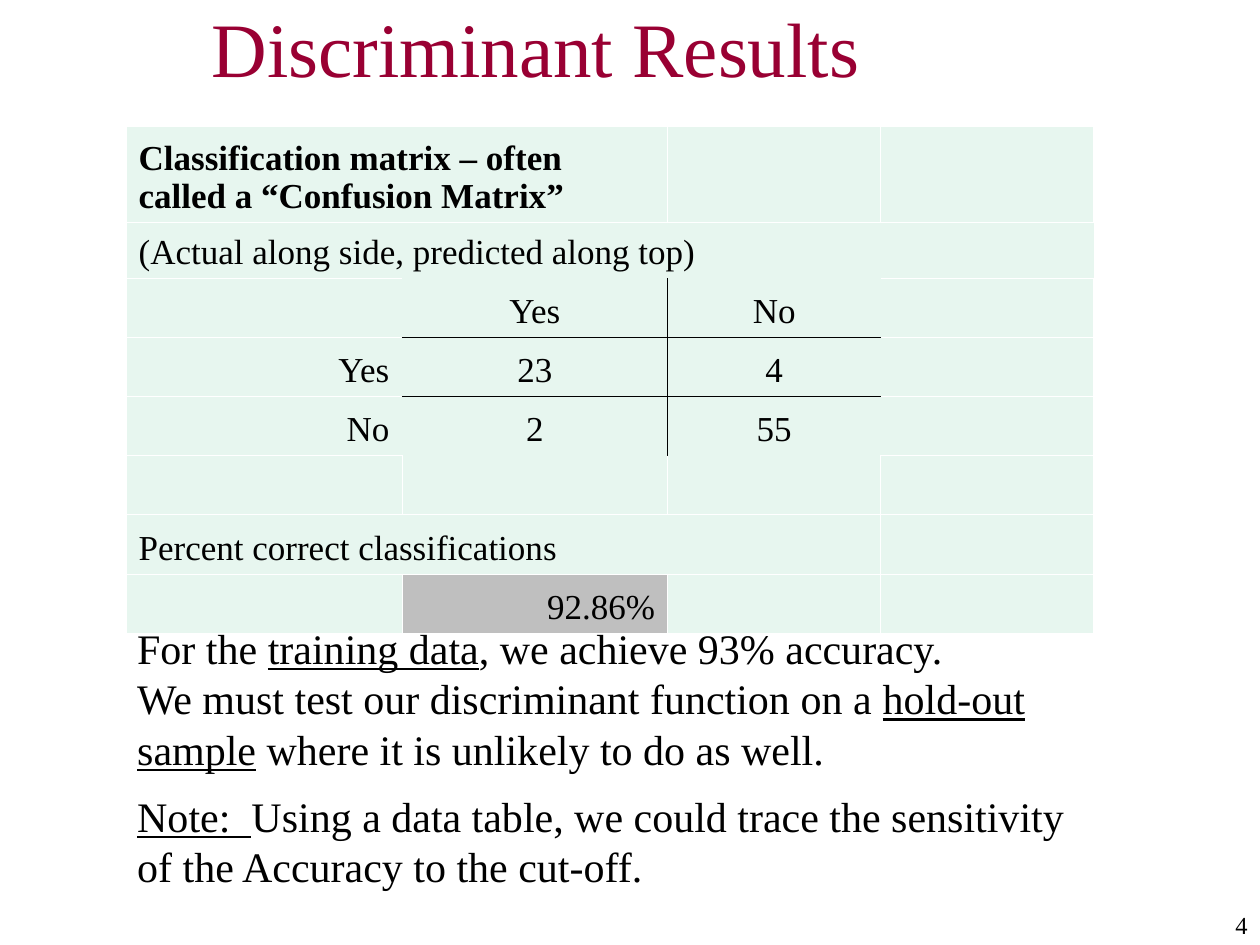
from typing import NamedTuple, Optional

import pptx
import pptx.dml.color
import pptx.enum.text
import pptx.oxml
import pptx.oxml.ns
import pptx.util
from lxml import etree

RGBColor = pptx.dml.color.RGBColor
Align = pptx.enum.text.PP_ALIGN
Anchor = pptx.enum.text.MSO_ANCHOR
Inches = pptx.util.Inches

FONT = "Times New Roman"
MAROON = RGBColor(0x99, 0x00, 0x33)
BLACK = RGBColor(0x00, 0x00, 0x00)
WHITE = RGBColor(0xFF, 0xFF, 0xFF)
MINT = RGBColor(0xE7, 0xF6, 0xEF)
GRAY = RGBColor(0xBF, 0xBF, 0xBF)

SLIDE_WIDTH, SLIDE_HEIGHT = 10, 7.5
COLUMN_WIDTHS = [2.19, 2.11, 1.69, 1.69]
ROW_HEIGHTS = [0.71, 0.44] + [0.47] * 6
MATRIX_ROWS, MATRIX_COLUMNS = range(2, 5), range(1, 3)
NO_GRID_STYLE = "{2D5ABB26-0587-4C30-8999-92F81FD0307C}"
# Border element: step to the neighbouring cell (rows, columns)
SIDES = {"lnL": (0, -1), "lnR": (0, 1), "lnT": (-1, 0), "lnB": (1, 0)}


class Run(NamedTuple):
    text: str
    underline: bool = False


class Entry(NamedTuple):
    row: int
    column: int
    text: str
    align: Align = Align.CENTER
    span: int = 1
    bold: bool = False
    fill: RGBColor = MINT


ENTRIES = [
    Entry(0, 0, "Classification matrix – often called a “Confusion Matrix”",
          Align.LEFT, span=2, bold=True),
    Entry(1, 0, "(Actual along side, predicted along top)", Align.LEFT, span=4),
    Entry(2, 1, "Yes"),
    Entry(2, 2, "No"),
    Entry(3, 0, "Yes", Align.RIGHT),
    Entry(3, 1, "23"),
    Entry(3, 2, "4"),
    Entry(4, 0, "No", Align.RIGHT),
    Entry(4, 1, "2"),
    Entry(4, 2, "55"),
    Entry(6, 0, "Percent correct classifications", Align.LEFT, span=3),
    Entry(7, 1, "92.86%", Align.RIGHT, fill=GRAY),
]

CONCLUSIONS = [
    [Run("For the "), Run("training data", True),
     Run(", we achieve 93% accuracy.")],
    [Run("We must test our discriminant function on a "),
     Run("hold-out sample", True),
     Run(" where it is unlikely to do as well.")],
    [Run("Note:  ", True),
     Run("Using a data table, we could trace the sensitivity of the "
         "Accuracy to the cut-off.")],
]


def write_text(frame, paragraphs: list[list[Run]], *, size: float,
               color: RGBColor = BLACK, align: Align = Align.LEFT,
               bold: bool = False, leading: Optional[float] = None) -> None:
    """Fill a text frame; leading is the line height as a share of the size."""
    frame.word_wrap = True
    for index, runs in enumerate(paragraphs):
        paragraph = frame.add_paragraph() if index else frame.paragraphs[0]
        paragraph.alignment = align
        paragraph.space_before = pptx.util.Pt(0)
        if leading:
            paragraph.line_spacing = pptx.util.Pt(size * leading)
        for part in runs:
            run = paragraph.add_run()
            run.text = part.text
            run.font.name = FONT
            run.font.size = pptx.util.Pt(size)
            run.font.color.rgb = color
            run.font.bold = bold
            run.font.underline = part.underline


def place(shape, left: float, top: float, width: float, height: float) -> None:
    shape.left, shape.top = Inches(left), Inches(top)
    shape.width, shape.height = Inches(width), Inches(height)


def add_text_box(slide, left: float, top: float, width: float, height: float):
    box = slide.shapes.add_textbox(
        Inches(left), Inches(top), Inches(width), Inches(height))
    return box.text_frame


def in_matrix(row: int, column: int) -> bool:
    return row in MATRIX_ROWS and column in MATRIX_COLUMNS


def edge_color(row: int, column: int, side: str) -> Optional[RGBColor]:
    """Black inside the matrix, none around it or in a span, else white."""
    row_step, column_step = SIDES[side]
    other_row, other_column = row + row_step, column + column_step
    for entry in ENTRIES:
        spanned = range(entry.column, entry.column + entry.span)
        if (entry.row == row == other_row
                and column in spanned and other_column in spanned):
            return None
    inside = in_matrix(row, column), in_matrix(other_row, other_column)
    if all(inside):
        return BLACK
    return None if any(inside) else WHITE


def add_border(cell, side: str, color: Optional[RGBColor]) -> None:
    qn = pptx.oxml.ns.qn
    line = etree.SubElement(cell._tc.get_or_add_tcPr(), qn(f"a:{side}"),
                            w=str(pptx.util.Pt(0.45)))
    if color is None:
        etree.SubElement(line, qn("a:noFill"))
    else:
        fill = etree.SubElement(line, qn("a:solidFill"))
        etree.SubElement(fill, qn("a:srgbClr"), val=str(color))


def add_classification_table(slide) -> None:
    table = slide.shapes.add_table(
        len(ROW_HEIGHTS), len(COLUMN_WIDTHS), Inches(1), Inches(1),
        Inches(sum(COLUMN_WIDTHS)), Inches(sum(ROW_HEIGHTS))).table
    table.first_row = table.horz_banding = False
    style = table._tbl.tblPr.find(pptx.oxml.ns.qn("a:tableStyleId"))
    style.text = NO_GRID_STYLE
    for column, width in zip(table.columns, COLUMN_WIDTHS):
        column.width = Inches(width)

    # Borders and base fill
    for row, height in enumerate(ROW_HEIGHTS):
        table.rows[row].height = Inches(height)
        for column in range(len(COLUMN_WIDTHS)):
            cell = table.cell(row, column)
            for side in SIDES:
                add_border(cell, side, edge_color(row, column, side))
            cell.fill.solid()
            cell.fill.fore_color.rgb = MINT

    # Labels and counts
    for entry in ENTRIES:
        cell = table.cell(entry.row, entry.column)
        if entry.span > 1:
            cell.merge(table.cell(entry.row, entry.column + entry.span - 1))
        cell.fill.fore_color.rgb = entry.fill
        cell.vertical_anchor = Anchor.BOTTOM
        write_text(cell.text_frame, [[Run(entry.text)]], size=20,
                   align=entry.align, bold=entry.bold)


def main() -> None:
    deck = pptx.Presentation()
    deck.slide_width = Inches(SLIDE_WIDTH)
    deck.slide_height = Inches(SLIDE_HEIGHT)
    slide = deck.slides.add_slide(deck.slide_layouts[5])

    # Title
    heading = slide.shapes.title
    place(heading, 1.58, 0.08, SLIDE_WIDTH - 1.58, 0.58)
    heading.text_frame.vertical_anchor = Anchor.MIDDLE
    heading.text_frame.auto_size = pptx.enum.text.MSO_AUTO_SIZE.NONE
    write_text(heading.text_frame, [[Run("Discriminant Results")]],
               size=44, color=MAROON, leading=1.2)

    # Page number
    page_number = add_text_box(slide, SLIDE_WIDTH - 1.42, SLIDE_HEIGHT - 0.33,
                               1.42, 0.33)
    write_text(page_number, [[Run("4")]], size=14, align=Align.RIGHT,
               leading=1.2)

    add_classification_table(slide)

    # Conclusions, with the note set apart
    conclusions = add_text_box(slide, 0.99, 4.89, 7.58, 2.24)
    write_text(conclusions, CONCLUSIONS, size=24, leading=1.2)
    conclusions.paragraphs[-1].space_before = pptx.util.Pt(9.5)

    deck.save("out.pptx")


if __name__ == "__main__":
    main()
